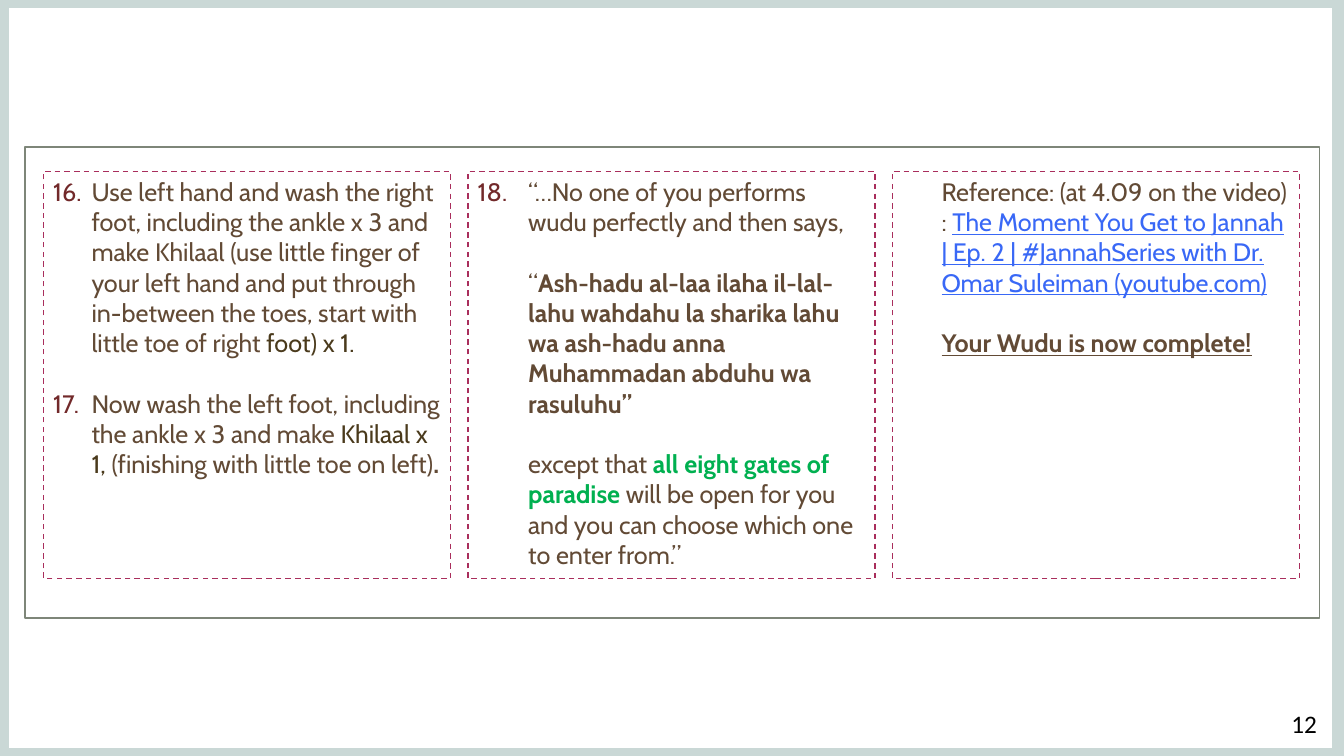
from lxml.etree import SubElement
from pptx import Presentation
from pptx.dml.color import RGBColor
from pptx.enum.dml import MSO_LINE
from pptx.enum.shapes import MSO_SHAPE
from pptx.enum.text import MSO_ANCHOR, PP_ALIGN
from pptx.oxml.ns import qn
from pptx.util import Inches, Pt

COLORS = {
    "backdrop": "CAD8D6", "white": "FFFFFF", "frame": "7E8679",
    "dash": "A92E5C", "number": "72292A", "brown": "624A35",
    "dark": "4A3A1C", "link": "3968F6", "green": "00B050", "black": "000000",
}
LINE_GAP = 21.6


def color(name):
    return RGBColor.from_string(COLORS[name])


def write(paragraph, runs, indent=0, hanging=0, start=None, before=0, font="Cabin"):
    """Fill a paragraph with (text, color, styles) runs; start numbers it."""
    paragraph.alignment = PP_ALIGN.LEFT
    properties = paragraph._p.get_or_add_pPr()
    properties.set("marL", str(Inches(indent)))
    properties.set("indent", str(-Inches(hanging)))
    if start:
        number_color = SubElement(properties, qn("a:buClr"))
        SubElement(number_color, qn("a:srgbClr"), val=COLORS["number"])
        SubElement(properties, qn("a:buFont"), typeface=font)
        SubElement(properties, qn("a:buAutoNum"), type="arabicPeriod", startAt=str(start))
    else:
        SubElement(properties, qn("a:buNone"))
    if before:
        paragraph.space_before = Pt(before)
    for text, tint, styles in runs:
        run = paragraph.add_run()
        run.text = text
        run.font.name = font
        run.font.size = Pt(18)
        run.font.color.rgb = color(tint)
        run.font.bold = "b" in styles
        run.font.underline = "u" in styles


prs = Presentation()
prs.slide_width, prs.slide_height = Inches(13.33), Inches(7.5)
slide = prs.slides.add_slide(prs.slide_layouts[6])
slide.background.fill.solid()
slide.background.fill.fore_color.rgb = color("backdrop")

for left, top, width, height, outline in [
    (0.09, 0.08, 13.12, 7.34, None),
    (0.25, 1.46, 12.84, 4.67, "frame"),
]:
    panel = slide.shapes.add_shape(
        MSO_SHAPE.RECTANGLE, Inches(left), Inches(top), Inches(width), Inches(height))
    panel.shadow.inherit = False
    panel.fill.solid()
    panel.fill.fore_color.rgb = color("white")
    if outline:
        panel.line.color.rgb = color(outline)
        panel.line.width = Pt(1)
    else:
        panel.line.fill.background()

# Each column lists its paragraphs as (runs, format).
washing_feet = [
    ([("Use left hand and wash the right foot, including the ankle x 3 and make "
       "Khilaal (use little finger of your left hand and put through in-between "
       "the toes, start with little toe of right ", "brown", ""),
      ("foot) x 1.", "dark", "")],
     dict(indent=0.38, hanging=0.38, start=16)),
    ([("Now wash the left foot, including the ankle x 3 and make ", "brown", ""),
      ("Khilaal x 1,", "dark", ""),
      (" (finishing with little toe on left)", "brown", ""),
      (".", "brown", "b")],
     dict(indent=0.38, hanging=0.38, start=16, before=LINE_GAP)),
]
declaration = [
    ([("“…No one of you performs wudu perfectly and then says,", "brown", "")],
     dict(indent=0.5, hanging=0.5, start=18)),
    ([("“", "brown", ""),
      ("Ash-hadu al-laa ilaha il-lal-lahu wahdahu la sharika lahu wa ash-hadu "
       "anna Muhammadan abduhu wa rasuluhu”", "brown", "b")],
     dict(indent=0.5, before=LINE_GAP)),
    ([("except that ", "brown", ""),
      ("all eight gates of paradise ", "green", "b"),
      ("will be open for you and you can choose which one to enter from.”", "brown", "")],
     dict(indent=0.5, before=LINE_GAP)),
]
reference = [
    ([("Reference: (at 4.09 on the video) : ", "brown", ""),
      ("The Moment You Get to Jannah | Ep. 2 | #JannahSeries with Dr. Omar "
       "Suleiman (youtube.com)", "link", "u")],
     dict(indent=0.39)),
    ([("Your Wudu is now complete!", "brown", "bu")],
     dict(indent=0.39, before=LINE_GAP)),
]

for index, content in enumerate([washing_feet, declaration, reference]):
    column = slide.shapes.add_shape(
        MSO_SHAPE.RECTANGLE, Inches(0.43 + index * 4.21), Inches(1.7),
        Inches(4.04), Inches(4.04))
    column.shadow.inherit = False
    column.fill.background()
    column.line.color.rgb = color("dash")
    column.line.width = Pt(1)
    column.line.dash_style = MSO_LINE.DASH
    frame = column.text_frame
    frame.word_wrap = True
    frame.vertical_anchor = MSO_ANCHOR.TOP
    for position, (runs, layout) in enumerate(content):
        paragraph = frame.add_paragraph() if position else frame.paragraphs[0]
        write(paragraph, runs, **layout)

page_number = slide.shapes.add_textbox(
    Inches(12.71), Inches(6.98), Inches(0.47), Inches(0.4))
write(page_number.text_frame.paragraphs[0], [("12", "black", "")], font="Calibri")

prs.save("out.pptx")
